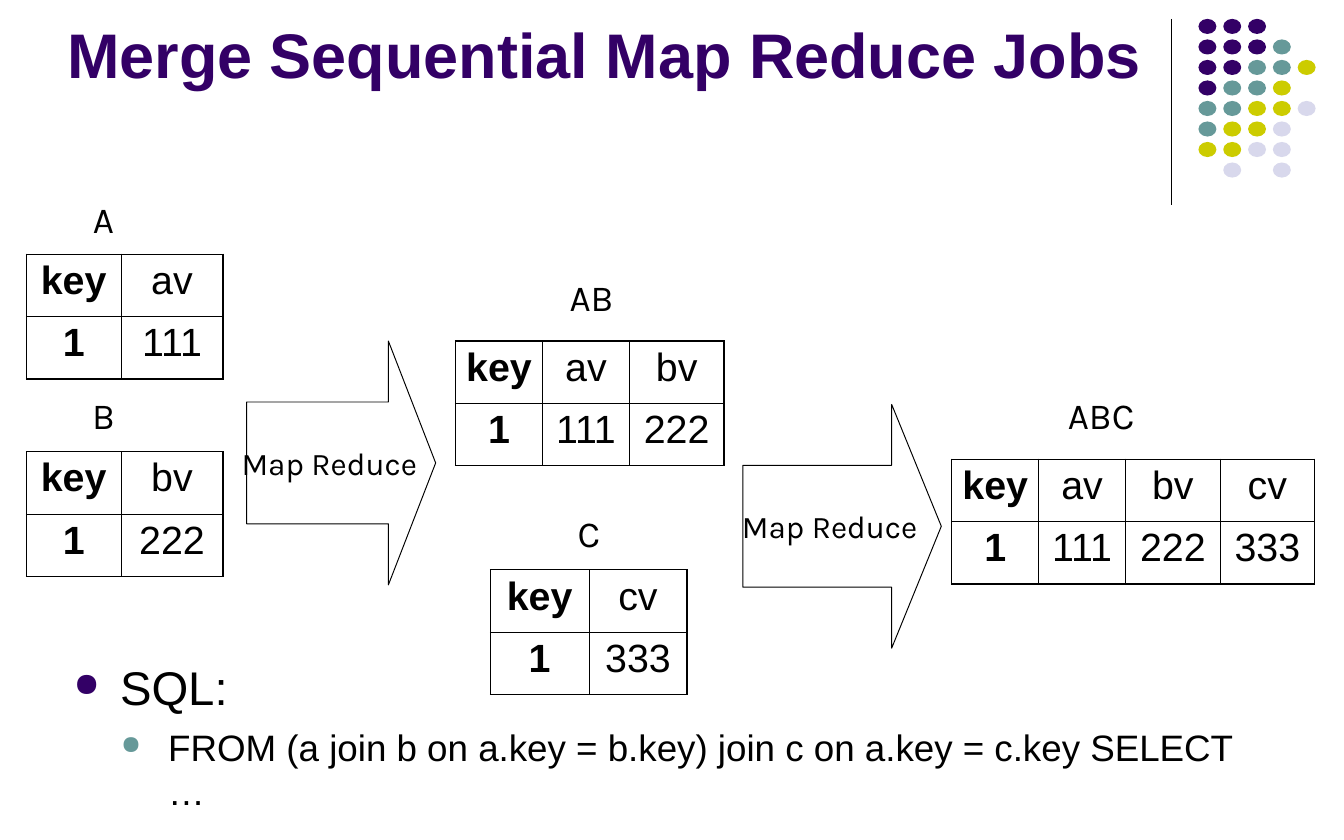
import pptx
import pptx.dml.color
import pptx.enum.shapes
import pptx.enum.text
import pptx.oxml
import pptx.oxml.ns
import pptx.util
from lxml import etree

PX = 9144
SLIDE = (1422, 889)
COLORS = {"ink": "000000", "paper": "FFFFFF", "purple": "330066",
          "teal": "669999", "olive": "CCCC00", "mist": "D8D8EC"}

TITLE = ("Merge Sequential Map Reduce Jobs", (71, 16, 1173, 168))
QUERY_AREA = (78, 697, 1249, 192)
QUERY = [
    ("SQL:", 36, "purple", 49, 49, 0),
    ("FROM (a join b on a.key = b.key) join c on a.key = c.key SELECT …",
     28, "teal", 100, 50, 7),
]
RELATIONS = [
    ("A", (87, 203, 45, 57), (28, 269), (100, 108), [("key", "av"), ("1", "111")]),
    ("B", (87, 411, 45, 57), (28, 478), (100, 108), [("key", "bv"), ("1", "222")]),
    ("AB", (586, 286, 80, 57), (482, 361), (92, 92, 100),
     [("key", "av", "bv"), ("1", "111", "222")]),
    ("C", (601, 536, 44, 57), (519, 603), (104, 104), [("key", "cv"), ("1", "333")]),
    ("ABC", (1111, 411, 108, 57), (1007, 486), (92, 92, 100, 100),
     [("key", "av", "bv", "cv"), ("1", "111", "222", "333")]),
]
ROW_HEIGHT = 66
JOBS = [("Map Reduce", (261, 361, 200, 258)), ("Map Reduce", (786, 428, 210, 258))]
RULE = (1239, 20, 1239, 217)
DOT_ROWS = ["PPP", "PPPT", "PPTTO", "PTTO", "TTOOM", "TOOM", "OOMM", " M M"]
DOT_CODES = {"P": "purple", "T": "teal", "O": "olive", "M": "mist"}
DOT_AREA = (1268, 20, 105, 152)
DOT_SIZE = (19, 16)
OUTER, INNER = 1.08, 0.45


def emu(*lengths):
    return [round(length * PX) for length in lengths]


def rgb(name):
    return pptx.dml.color.RGBColor.from_string(COLORS[name])


def style(paragraph, size, font="Arial", color="ink", bold=False, centred=False):
    if centred:
        paragraph.alignment = pptx.enum.text.PP_ALIGN.CENTER
    for run in paragraph.runs:
        run.font.size = pptx.util.Pt(size)
        run.font.name = font
        run.font.bold = bold
        run.font.color.rgb = rgb(color)


def add_text_area(area, inset=None, wrap=True):
    frame = slide.shapes.add_textbox(*emu(*area)).text_frame
    frame.word_wrap = wrap
    if inset is not None:
        frame.margin_left = frame.margin_right = inset
        frame.margin_top = frame.margin_bottom = inset
    return frame


def add_bullet(paragraph, color, left, hanging):
    properties = paragraph._p.get_or_add_pPr()
    properties.set("marL", str(left * PX))
    properties.set("indent", str(-hanging * PX))
    bullet_color = etree.SubElement(properties, pptx.oxml.ns.qn("a:buClr"))
    etree.SubElement(bullet_color, pptx.oxml.ns.qn("a:srgbClr"), val=COLORS[color])
    etree.SubElement(properties, pptx.oxml.ns.qn("a:buSzPct"), val="70000")
    etree.SubElement(properties, pptx.oxml.ns.qn("a:buChar"), char="●")


def add_borders(cell, widths):
    properties = cell._tc.get_or_add_tcPr()
    for side, width in zip("LRTB", widths):
        border = etree.SubElement(properties, pptx.oxml.ns.qn(f"a:ln{side}"),
                                  w=str(pptx.util.Pt(width)))
        fill = etree.SubElement(border, pptx.oxml.ns.qn("a:solidFill"))
        etree.SubElement(fill, pptx.oxml.ns.qn("a:srgbClr"), val=COLORS["ink"])


def add_relation(corner, widths, rows):
    last_row, last_column = len(rows) - 1, len(widths) - 1
    table = slide.shapes.add_table(
        len(rows), len(widths),
        *emu(*corner, sum(widths), ROW_HEIGHT * len(rows))).table
    table.first_row = table.horz_banding = False
    for column, width in zip(table.columns, widths):
        column.width = width * PX
    for r, values in enumerate(rows):
        table.rows[r].height = ROW_HEIGHT * PX
        for c, value in enumerate(values):
            cell = table.cell(r, c)
            cell.text_frame.text = value
            style(cell.text_frame.paragraphs[0], 30, bold=c == 0, centred=True)
            edges = (c == 0, c == last_column, r == 0, r == last_row)
            add_borders(cell, [OUTER if edge else INNER for edge in edges])
            cell.fill.solid()
            cell.fill.fore_color.rgb = rgb("paper")


def add_job(label, area):
    arrow = slide.shapes.add_shape(
        pptx.enum.shapes.MSO_SHAPE.RIGHT_ARROW, *emu(*area))
    arrow.shadow.inherit = False
    arrow.adjustments[0], arrow.adjustments[1] = 0.5, 0.25
    arrow.fill.solid()
    arrow.fill.fore_color.rgb = rgb("paper")
    arrow.line.color.rgb = rgb("ink")
    arrow.line.width = pptx.util.Pt(0.75)
    arrow.text_frame.word_wrap = False
    arrow.text_frame.vertical_anchor = pptx.enum.text.MSO_ANCHOR.MIDDLE
    arrow.text_frame.text = label
    style(arrow.text_frame.paragraphs[0], 24, "Karla", centred=True)


def add_dots():
    left, top, across, down = DOT_AREA
    column_step = across / (max(map(len, DOT_ROWS)) - 1)
    row_step = down / (len(DOT_ROWS) - 1)
    for r, codes in enumerate(DOT_ROWS):
        for c, code in enumerate(codes):
            if code == " ":
                continue
            dot = slide.shapes.add_shape(
                pptx.enum.shapes.MSO_SHAPE.OVAL,
                *emu(left + c * column_step, top + r * row_step, *DOT_SIZE))
            dot.shadow.inherit = False
            dot.fill.solid()
            dot.fill.fore_color.rgb = rgb(DOT_CODES[code])
            dot.line.fill.background()


deck = pptx.Presentation()
deck.slide_width, deck.slide_height = emu(*SLIDE)
slide = deck.slides.add_slide(deck.slide_layouts[6])

rule = slide.shapes.add_connector(
    pptx.enum.shapes.MSO_CONNECTOR.STRAIGHT, *emu(*RULE))
rule.line.color.rgb = rgb("ink")
rule.line.width = pptx.util.Pt(0.75)
etree.SubElement(rule._element.spPr, pptx.oxml.ns.qn("a:effectLst"))
add_dots()

heading, heading_area = TITLE
title = add_text_area(heading_area, inset=0)
title.text = heading
style(title.paragraphs[0], 48, color="purple", bold=True)

query = add_text_area(QUERY_AREA, inset=0)
query.text = "\n".join(line[0] for line in QUERY)
for level, (paragraph, line) in enumerate(zip(query.paragraphs, QUERY)):
    _, size, bullet_color, left, hanging, before = line
    add_bullet(paragraph, bullet_color, left, hanging)
    paragraph.level = level
    if before:
        paragraph.space_before = pptx.util.Pt(before)
    style(paragraph, size)

for name, name_area, corner, widths, rows in RELATIONS:
    add_relation(corner, widths, rows)
    caption = add_text_area(name_area, wrap=False)
    caption.text = name
    style(caption.paragraphs[0], 28, "Karla", centred=True)

for label, area in JOBS:
    add_job(label, area)

deck.save("out.pptx")
